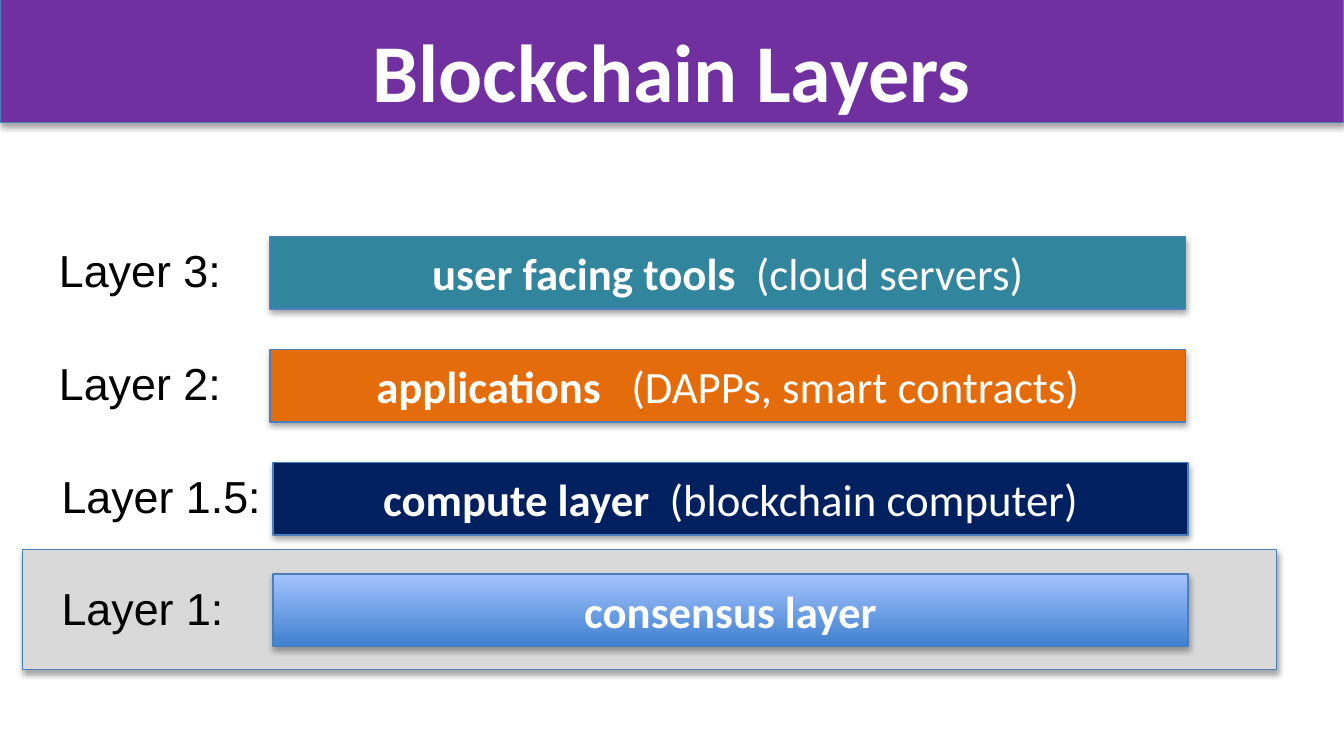
"""Build the Blockchain Layers slide."""
from lxml import etree
from pptx import Presentation
from pptx.dml.color import RGBColor
from pptx.enum.shapes import MSO_SHAPE
from pptx.enum.text import MSO_ANCHOR, PP_ALIGN
from pptx.oxml.ns import qn
from pptx.util import Inches, Pt

RECT = MSO_SHAPE.RECTANGLE
TOP, MIDDLE = MSO_ANCHOR.TOP, MSO_ANCHOR.MIDDLE
LEFT, CENTER = PP_ALIGN.LEFT, PP_ALIGN.CENTER

COLORS = {
    "banner": "7030A0",
    "outline": "4B7EBC",
    "highlight": "D9D9D9",
    "tools": "31859C",
    "applications": "E46C0A",
    "compute": "002060",
    "consensus": ("3F80CE", "A4C4FF"),
    "white": "FFFFFF",
    "black": "000000",
}

LAYERS = [
    ("Layer 3:", "tools", "user facing tools  ", "(cloud servers)", 0.34, 1.76, 1.42),
    ("Layer 2:", "applications", "applications", "   (DAPPs, smart contracts)", 0.34, 2.6, 1.42),
    ("Layer 1.5:", "compute", "compute layer  ", "(blockchain computer)", 0.36, 3.44, 1.7),
    ("Layer 1:", "consensus", "consensus layer", "", 0.36, 4.27, 1.42),
]


def rgb(name):
    """Return the named color."""
    return RGBColor.from_string(COLORS[name])


def add_shadow(sp):
    """Give a shape a soft shadow falling straight down."""
    sp.shadow.inherit = False
    effects = sp._element.spPr.find(qn("a:effectLst"))
    shadow = etree.SubElement(
        effects, qn("a:outerShdw"), blurRad=str(Pt(3.1)), dist=str(Pt(1.8)),
        dir="5400000", rotWithShape="0")
    color = etree.SubElement(shadow, qn("a:srgbClr"), val=COLORS["black"])
    etree.SubElement(color, qn("a:alpha"), val="35000")


def set_fill(sp, name):
    """Fill a shape with a solid color, or upward from one color to another."""
    if isinstance(COLORS[name], str):
        sp.fill.solid()
        sp.fill.fore_color.rgb = rgb(name)
        return
    sp.fill.gradient()
    sp.fill.gradient_angle = 90
    for stop, value in zip(sp.fill.gradient_stops, COLORS[name]):
        stop.color.rgb = RGBColor.from_string(value)


def add_bar(shapes, x, y, w, h, fill):
    """Add an outlined rectangle with a shadow."""
    sp = shapes.add_shape(RECT, Inches(x), Inches(y), Inches(w), Inches(h))
    set_fill(sp, fill)
    sp.line.color.rgb = rgb("outline")
    sp.line.width = Pt(0.75)
    add_shadow(sp)
    return sp


def write(sp, runs, font, size, color, align=LEFT, anchor=TOP):
    """Write one paragraph of (text, bold) runs into a shape."""
    tf = sp.text_frame
    tf.vertical_anchor = anchor
    p = tf.paragraphs[0]
    p.alignment = align
    p.font.name = font
    p.font.size = Pt(size)
    p.font.color.rgb = rgb(color)
    for text, bold in runs:
        r = p.add_run()
        r.text = text
        r.font.bold = bold


def add_text(shapes, x, y, w, h, *style):
    """Add a text box that keeps its text on one line."""
    sp = shapes.add_textbox(Inches(x), Inches(y), Inches(w), Inches(h))
    sp.text_frame.word_wrap = False
    write(sp, *style)


def add_layer(s, label, fill, name, detail, x, y, label_width):
    """Add a grouped layer: its bar and the label to the left."""
    shapes = s.shapes.add_group_shape().shapes
    bar = add_bar(shapes, x + 1.67, y, 6.81, 0.54, fill)
    runs = [(name, True), (detail, False)] if detail else [(name, True)]
    write(bar, runs, "Calibri", 24, "white", CENTER, MIDDLE)
    add_text(shapes, x, y, label_width, 0.5, [(label, False)], "Arial", 24, "black")


def main():
    """Build and save the slide."""
    prs = Presentation()
    prs.slide_width, prs.slide_height = Inches(10), Inches(10 * 9 / 16)
    s = prs.slides.add_slide(prs.slide_layouts[6])
    add_bar(s.shapes, 0, -0.01, 10, 0.92, "banner")
    add_bar(s.shapes, 0.17, 4.09, 9.33, 0.89, "highlight")
    add_text(s.shapes, 0.5, 0.1, 9, 0.68, [("Blockchain Layers", True)],
             "Calibri", 44, "white", CENTER)
    for layer in reversed(LAYERS):
        add_layer(s, *layer)
    prs.save("out.pptx")


if __name__ == "__main__":
    main()
